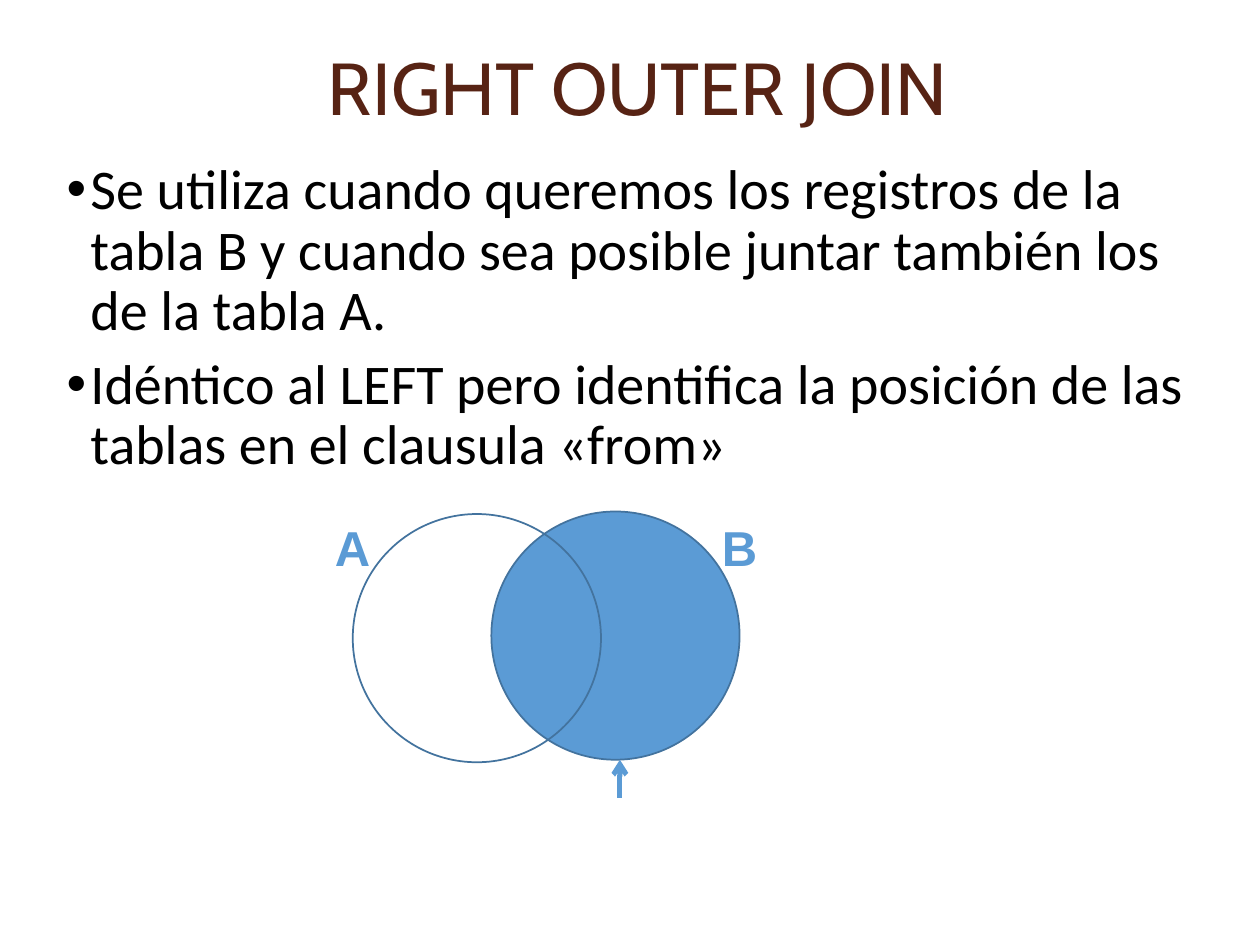
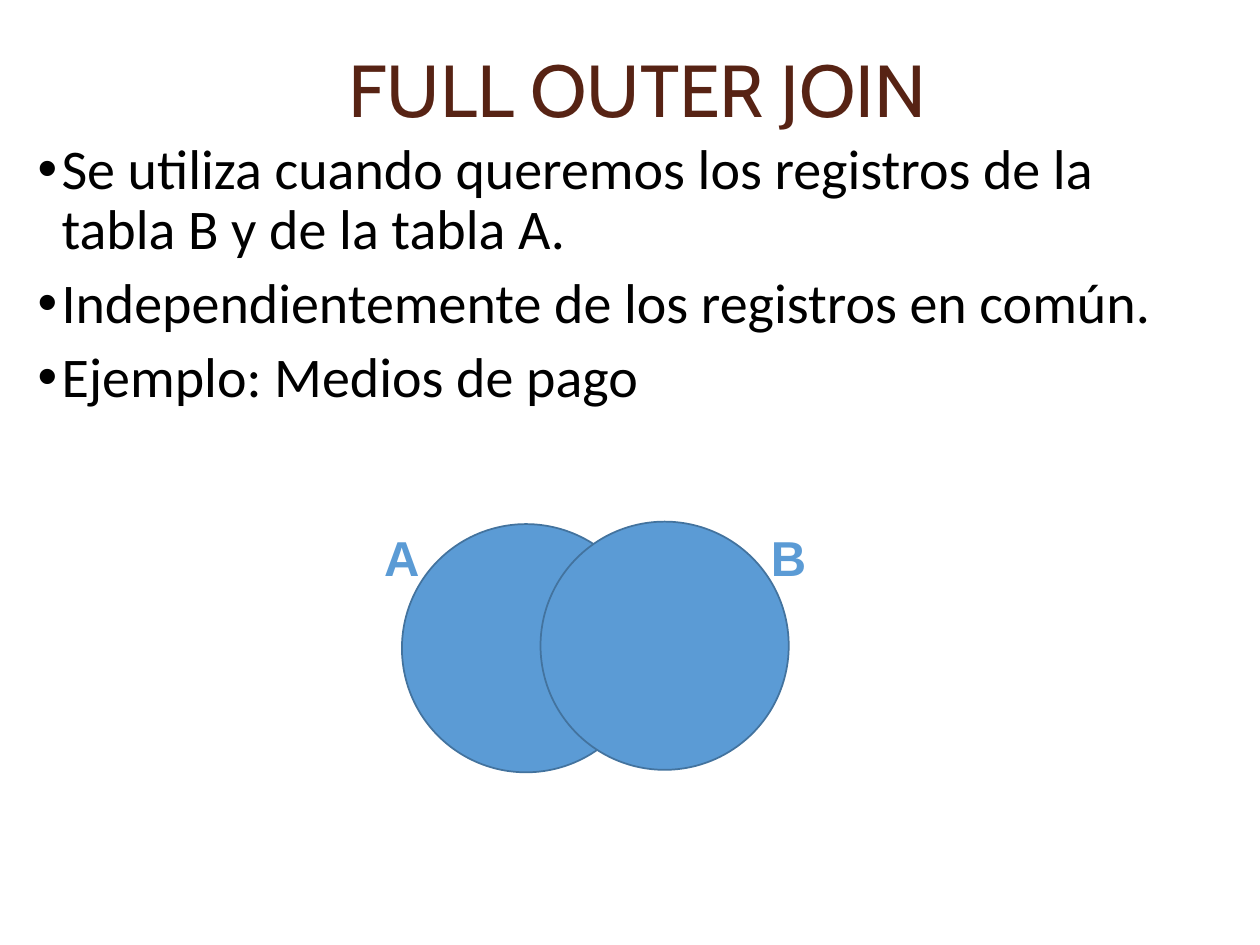
"""Build two slides that explain outer joins with Venn diagrams."""
from dataclasses import dataclass

from lxml.etree import SubElement
from pptx import Presentation
from pptx.dml.color import RGBColor
from pptx.enum.shapes import MSO_CONNECTOR as Connector, MSO_SHAPE as Preset
from pptx.enum.text import MSO_ANCHOR as Anchor, MSO_AUTO_SIZE as AutoSize, PP_ALIGN as Align
from pptx.oxml.ns import qn
from pptx.util import Pt

EMU_PER_PX = 9144
SLIDE_WIDTH, SLIDE_HEIGHT = 1000, 750
TITLE_ONLY = 5
COLORS = {"title": "572314", "text": "000000", "blue": "5B9BD5", "outline": "43739E"}
BULLET_INDENT = 19
DIAMETER = 197
CIRCLE_OFFSETS = {"A": (0, 2), "B": (110, 0)}
LABEL_OFFSETS = {"A": -24, "B": 283}
LABEL_SIZE = (79, 57)
ARROW_OFFSET, ARROW_START, ARROW_END = 212, 227, 197


@dataclass(frozen=True)
class Venn:
    """Place and look of a two-circle diagram, with circles from back to front."""
    left: int
    top: int
    order: str
    filled: str
    arrow: bool = False


@dataclass(frozen=True)
class JoinSlide:
    """Content of one slide about a join."""
    title: str
    title_top: int
    body_box: tuple[int, int, int, int]
    bullets: tuple[str, ...]
    venn: Venn


JOINS = (
    JoinSlide(
        "RIGHT OUTER JOIN", 0, (43, 123, 934, 252),
        ("Se utiliza cuando queremos los registros de la tabla B y cuando sea posible "
         "juntar también los de la tabla A.",
         "Idéntico al LEFT pero identifica la posición de las tablas en el clausula «from»"),
        Venn(280, 406, order="BA", filled="B", arrow=True)),
    JoinSlide(
        "FULL OUTER JOIN", 2, (20, 107, 957, 268),
        ("Se utiliza cuando queremos los registros de la tabla B y de la tabla A.",
         "Independientemente de los registros en común.",
         "Ejemplo: Medios de pago"),
        Venn(319, 414, order="AB", filled="AB")),
)


def px(*lengths: int) -> list[int]:
    """Turn px lengths into EMU."""
    return [length * EMU_PER_PX for length in lengths]


def color(name: str) -> RGBColor:
    """Look up a named colour."""
    return RGBColor.from_string(COLORS[name])


def add_bullet(paragraph) -> None:
    """Give a paragraph a hanging round bullet."""
    properties = paragraph._p.get_or_add_pPr()
    indent, = px(BULLET_INDENT)
    properties.set("marL", str(indent))
    properties.set("indent", str(-indent))
    SubElement(properties, qn("a:buFont")).set("typeface", "Arial")
    SubElement(properties, qn("a:buChar")).set("char", "•")


def write_text(shape, *texts: str, font: str, size: int, ink: str, bold: bool = False,
               align=Align.LEFT, anchor=Anchor.TOP, line_spacing: float = 1.0,
               space_before: float = 0, bullets: bool = False, fit=AutoSize.NONE) -> None:
    """Write formatted paragraphs into a shape."""
    frame = shape.text_frame
    frame.word_wrap = True
    frame.auto_size = fit
    frame.vertical_anchor = anchor
    for index, text in enumerate(texts):
        paragraph = frame.add_paragraph() if index else frame.paragraphs[0]
        if bullets:
            add_bullet(paragraph)
        paragraph.alignment = align
        paragraph.line_spacing = line_spacing
        paragraph.space_before = Pt(space_before if index else 0)
        run = paragraph.add_run()
        run.text = text
        run.font.name = font
        run.font.size = Pt(size)
        run.font.bold = bold
        run.font.color.rgb = color(ink)


def draw_circle(shapes, left: int, top: int, filled: bool) -> None:
    """Draw one circle of the diagram."""
    circle = shapes.add_shape(Preset.OVAL, *px(left, top, DIAMETER, DIAMETER))
    circle.shadow.inherit = False
    circle.line.color.rgb = color("outline")
    circle.line.width = Pt(1)
    if filled:
        circle.fill.solid()
        circle.fill.fore_color.rgb = color("blue")
    else:
        circle.fill.background()


def draw_arrow(shapes, x: int, start: int, end: int) -> None:
    """Draw a vertical arrow."""
    arrow = shapes.add_connector(Connector.STRAIGHT, *px(x, start, x, end))
    arrow.line.color.rgb = color("blue")
    arrow.line.width = Pt(2.75)
    SubElement(arrow.line._get_or_add_ln(), qn("a:tailEnd")).set("type", "arrow")
    SubElement(arrow._element.spPr, qn("a:effectLst"))


def draw_venn(slide, venn: Venn) -> None:
    """Draw the grouped circles, their labels and the optional arrow."""
    shapes = slide.shapes.add_group_shape().shapes
    for name in venn.order:
        across, down = CIRCLE_OFFSETS[name]
        draw_circle(shapes, venn.left + across, venn.top + down, name in venn.filled)
    if venn.arrow:
        draw_arrow(shapes, venn.left + ARROW_OFFSET,
                   venn.top + ARROW_START, venn.top + ARROW_END)
    for name, across in LABEL_OFFSETS.items():
        label = shapes.add_textbox(*px(venn.left + across, venn.top, *LABEL_SIZE))
        write_text(label, name, font="Arial", size=28, ink="blue", bold=True,
                   fit=AutoSize.SHAPE_TO_FIT_TEXT)


def build_slide(presentation, join: JoinSlide) -> None:
    """Add one slide with title, bullets and diagram."""
    slide = presentation.slides.add_slide(presentation.slide_layouts[TITLE_ONLY])
    title = slide.shapes.title
    title.left, title.top, title.width, title.height = px(75, join.title_top, 862, 145)
    write_text(title, join.title, font="Cabin", size=42, ink="title",
               align=Align.CENTER, anchor=Anchor.MIDDLE, line_spacing=0.9)
    body = slide.shapes.add_textbox(*px(*join.body_box))
    write_text(body, *join.bullets, font="Calibri", size=32, ink="text",
               line_spacing=0.9, space_before=7.5, bullets=True)
    draw_venn(slide, join.venn)


def main() -> None:
    """Build and save the presentation."""
    presentation = Presentation()
    presentation.slide_width, presentation.slide_height = px(SLIDE_WIDTH, SLIDE_HEIGHT)
    for join in JOINS:
        build_slide(presentation, join)
    presentation.save("out.pptx")


if __name__ == "__main__":
    main()
